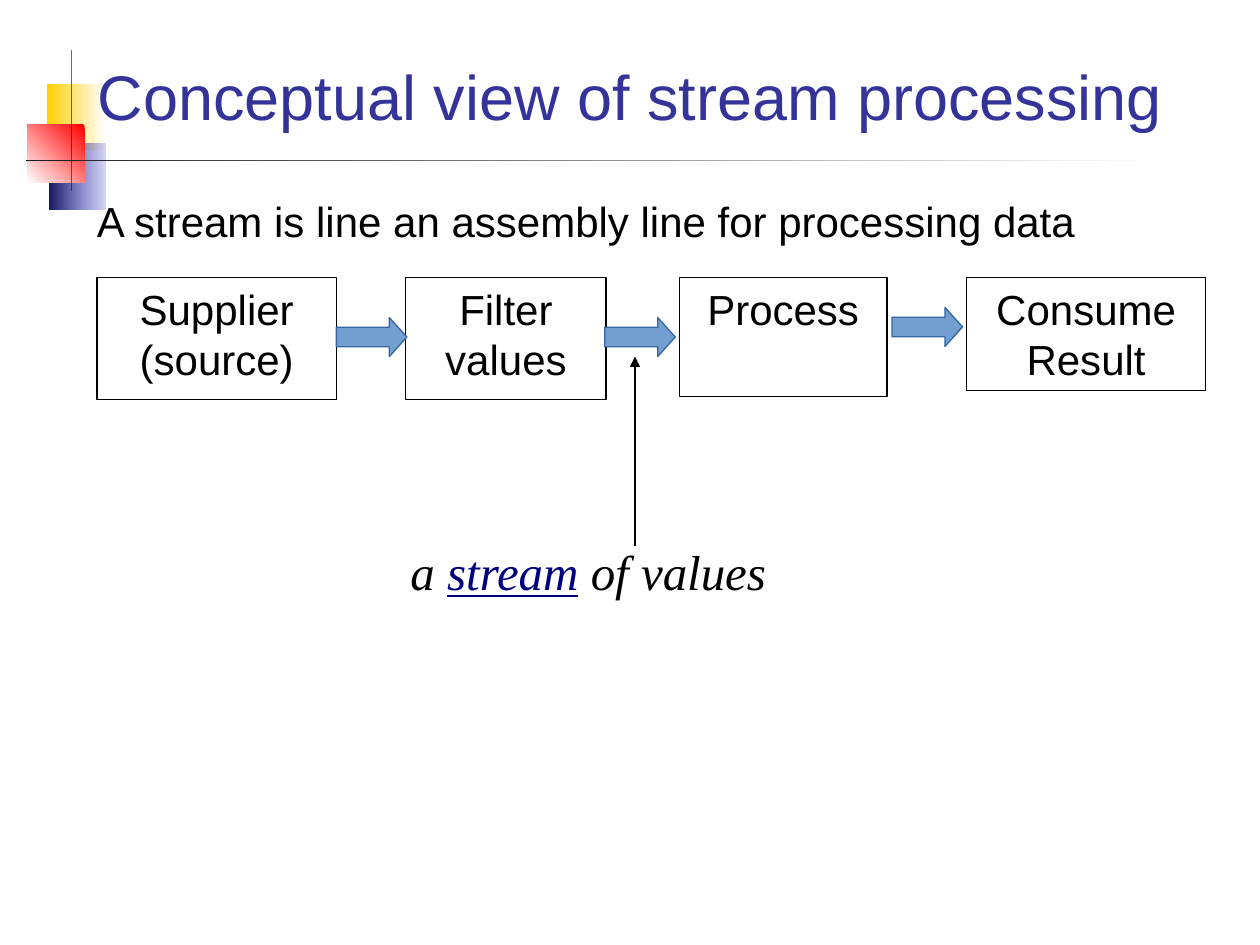
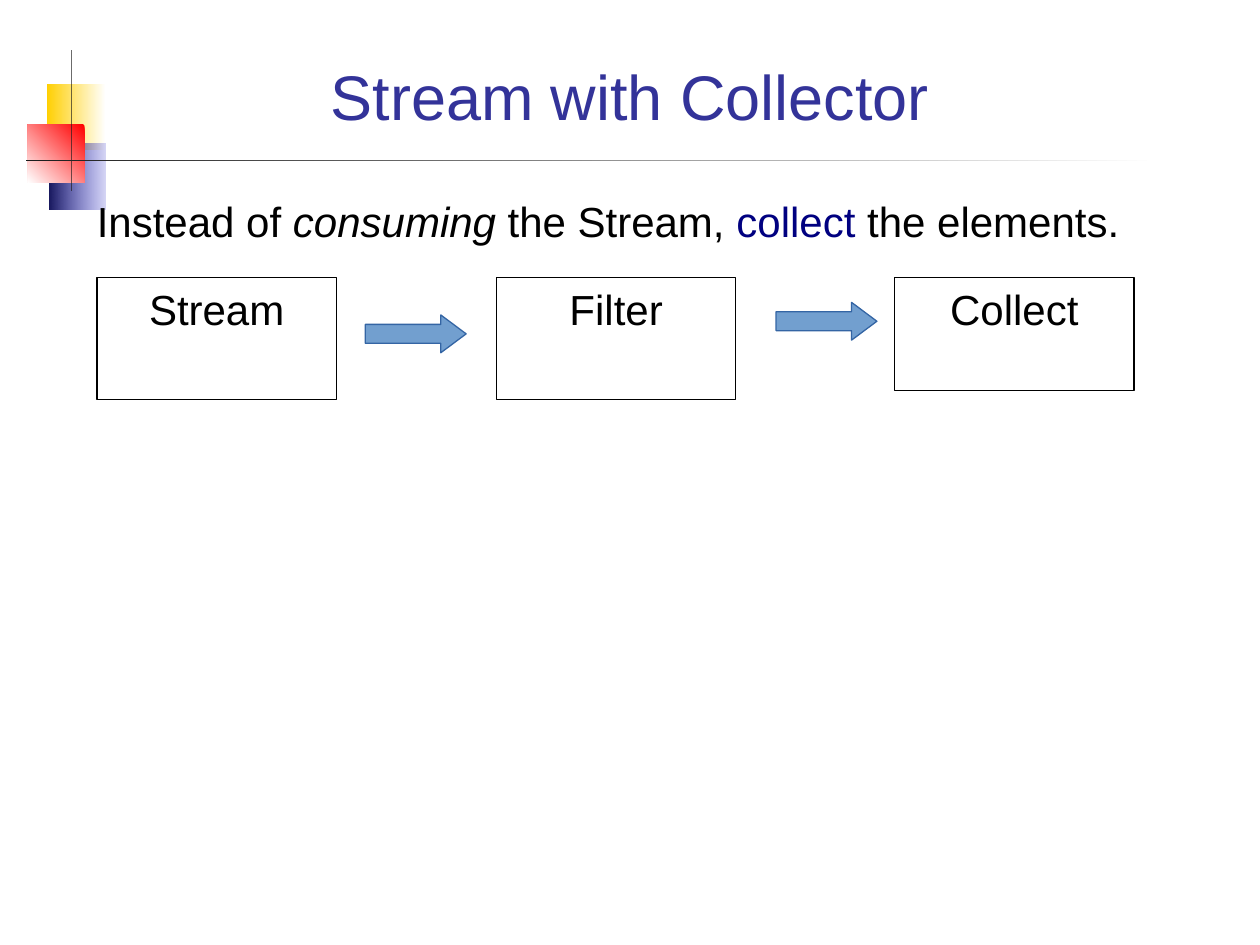
from dataclasses import dataclass

from lxml import etree
from pptx import Presentation
from pptx.dml.color import RGBColor
from pptx.enum.shapes import MSO_CONNECTOR, MSO_SHAPE
from pptx.enum.text import MSO_ANCHOR, PP_ALIGN
from pptx.oxml.ns import qn
from pptx.util import Inches, Pt

RECTANGLE = MSO_SHAPE.RECTANGLE
RIGHT_ARROW = MSO_SHAPE.RIGHT_ARROW
STRAIGHT = MSO_CONNECTOR.STRAIGHT
CENTER = PP_ALIGN.CENTER
LEFT = PP_ALIGN.LEFT
TOP = MSO_ANCHOR.TOP
MIDDLE = MSO_ANCHOR.MIDDLE


@dataclass(frozen=True)
class Theme:
    title: str = "333399"
    text: str = "000000"
    accent: str = "000080"
    arrow_fill: str = "729FCF"
    arrow_line: str = "3465A4"
    rule: str = "1C1C1C"
    white: str = "FFFFFF"
    yellow: str = "FFCF01"
    blue: str = "3333CC"
    navy: str = "17175E"
    red: str = "FF0000"
    sans: str = "Arial"
    serif: str = "Times New Roman"
    title_size: int = 36
    body_size: int = 24
    caption_size: int = 28
    line_width: float = 0.75


THEME = Theme()
TITLE_BOX = (0.67, 0.28, 8.66, 0.95)
LEAD_BOX = (0.67, 1.5, 9.03, 0.7)
FLOW_ORIGIN = (0.77, 2.2)
CAPTION_BOX = (3.16, 4.25, 3.2, 0.57)


def rgb(color):
    return RGBColor.from_string(color)


def inches(*lengths):
    return [Inches(length) for length in lengths]


def set_font(font, size, color, face=THEME.sans):
    font.name = face
    font.size = Pt(size)
    font.color.rgb = rgb(color)


def set_outline(line, color):
    line.color.rgb = rgb(color)
    line.width = Pt(THEME.line_width)


def add_preset(slide, preset, box):
    shape = slide.shapes.add_shape(preset, *inches(*box))
    shape.shadow.inherit = False
    return shape


def add_gradient_block(slide, box, start, end, angle=180, start_alpha=None):
    block = add_preset(slide, RECTANGLE, box)
    block.line.fill.background()
    block.fill.gradient()
    block.fill.gradient_angle = angle
    for stop, color, position in zip(block.fill.gradient_stops, (start, end), (0, 1)):
        stop.color.rgb = rgb(color)
        stop.position = position
    if start_alpha is not None:
        first_color = next(block._element.spPr.iter(qn("a:srgbClr")))
        etree.SubElement(first_color, qn("a:alpha")).set("val", str(start_alpha * 1000))
    return block


def add_corner_motif(slide, layout):
    """Build the coloured squares and rules, then hand them to the layout."""
    t = THEME
    motif = [
        add_gradient_block(slide, (0.37, 0.67, 0.47, 0.52), t.white, t.yellow),
        add_gradient_block(slide, (0.39, 1.14, 0.45, 0.52), t.blue, t.navy, start_alpha=20),
        add_gradient_block(slide, (0.22, 0.99, 0.45, 0.46), t.red, t.white, angle=225),
        add_gradient_block(slide, (0.56, 0.4, 0.01, 1.12), t.rule, t.rule),
        add_gradient_block(slide, (0.21, 1.27, 8.97, 0.01), t.white, t.rule),
    ]
    for part in motif:
        layout.shapes._spTree.append(part._element)


def set_title(slide, text):
    title = slide.shapes.title
    title.left, title.top, title.width, title.height = inches(*TITLE_BOX)
    frame = title.text_frame
    frame.text = text
    frame.vertical_anchor = MIDDLE
    paragraph = frame.paragraphs[0]
    paragraph.alignment = CENTER
    set_font(paragraph.runs[0].font, THEME.title_size, THEME.title)


def add_rich_text(slide, box, spans, size, face=THEME.sans):
    """Each span is (text, colour, italic, underlined)."""
    frame = slide.shapes.add_textbox(*inches(*box)).text_frame
    frame.word_wrap = True
    paragraph = frame.paragraphs[0]
    paragraph.alignment = LEFT
    for text, color, italic, underlined in spans:
        run = paragraph.add_run()
        run.text = text
        set_font(run.font, size, color, face)
        run.font.italic = italic
        run.font.underline = underlined


def add_stage(slide, box, label):
    stage = add_preset(slide, RECTANGLE, box)
    stage.fill.background()
    set_outline(stage.line, THEME.text)
    frame = stage.text_frame
    frame.text = label
    frame.word_wrap = True
    frame.vertical_anchor = TOP
    for paragraph in frame.paragraphs:
        paragraph.alignment = CENTER
        for run in paragraph.runs:
            set_font(run.font, THEME.body_size, THEME.text)


def add_flow_arrow(slide, box, head):
    arrow = add_preset(slide, RIGHT_ARROW, box)
    arrow.adjustments[1] = head
    arrow.fill.solid()
    arrow.fill.fore_color.rgb = rgb(THEME.arrow_fill)
    set_outline(arrow.line, THEME.arrow_line)


def add_flow(slide, origin, stages, arrows, arrow_size, head):
    """Stages are (label, dx, width, height), arrows (dx, dy) from the origin."""
    left, top = origin
    for label, dx, width, height in stages:
        add_stage(slide, (left + dx, top, width, height), label)
    for dx, dy in arrows:
        add_flow_arrow(slide, (left + dx, top + dy, *arrow_size), head)


def add_stream_caption(slide, box):
    left, top, width, height = box
    spans = [
        ("a ", THEME.text, True, False),
        ("stream", THEME.accent, True, True),
        (" of values", THEME.text, True, False),
    ]
    add_rich_text(slide, box, spans, THEME.caption_size, THEME.serif)
    x = left + 1.88
    pointer = slide.shapes.add_connector(
        STRAIGHT, *inches(x, top + 0.08, x, top - 1.42))
    set_outline(pointer.line, THEME.text)
    etree.SubElement(pointer.line._get_or_add_ln(), qn("a:tailEnd")).set("type", "triangle")
    etree.SubElement(pointer._element.spPr, qn("a:effectLst"))


def fill_concept_slide(slide):
    set_title(slide, "Conceptual view of stream processing")
    lead = [("A stream is line an assembly line for processing data",
             THEME.text, False, False)]
    add_rich_text(slide, LEAD_BOX, lead, THEME.body_size)
    stages = [
        ("Supplier\n(source)", 0, 1.9, 0.97),
        ("Filter\vvalues", 2.45, 1.59, 0.97),
        ("Process", 4.62, 1.65, 0.95),
        ("Consume Result", 6.9, 1.9, 0.9),
    ]
    arrows = [(1.9, 0.32), (4.03, 0.32), (6.31, 0.24)]
    add_flow(slide, FLOW_ORIGIN, stages, arrows, (0.56, 0.31), 0.45)
    add_stream_caption(slide, CAPTION_BOX)


def fill_collector_slide(slide):
    set_title(slide, "Stream with Collector")
    lead = [
        ("Instead of ", THEME.text, False, False),
        ("consuming", THEME.text, True, False),
        (" the Stream, ", THEME.text, False, False),
        ("collect", THEME.accent, False, False),
        (" the elements.", THEME.text, False, False),
    ]
    add_rich_text(slide, LEAD_BOX, lead, THEME.body_size)
    stages = [
        ("Stream", 0, 1.9, 0.97),
        ("Filter", 3.17, 1.9, 0.97),
        ("Collect", 6.33, 1.9, 0.9),
    ]
    arrows = [(2.13, 0.3), (5.39, 0.2)]
    add_flow(slide, FLOW_ORIGIN, stages, arrows, (0.8, 0.3), 0.67)


def main():
    deck = Presentation()
    deck.slide_width, deck.slide_height = inches(10, 7.5)
    title_only = deck.slide_layouts.get_by_name("Title Only")
    concept, collector = [deck.slides.add_slide(title_only) for _ in range(2)]
    add_corner_motif(concept, title_only)
    fill_concept_slide(concept)
    fill_collector_slide(collector)
    deck.save("out.pptx")


if __name__ == "__main__":
    main()
